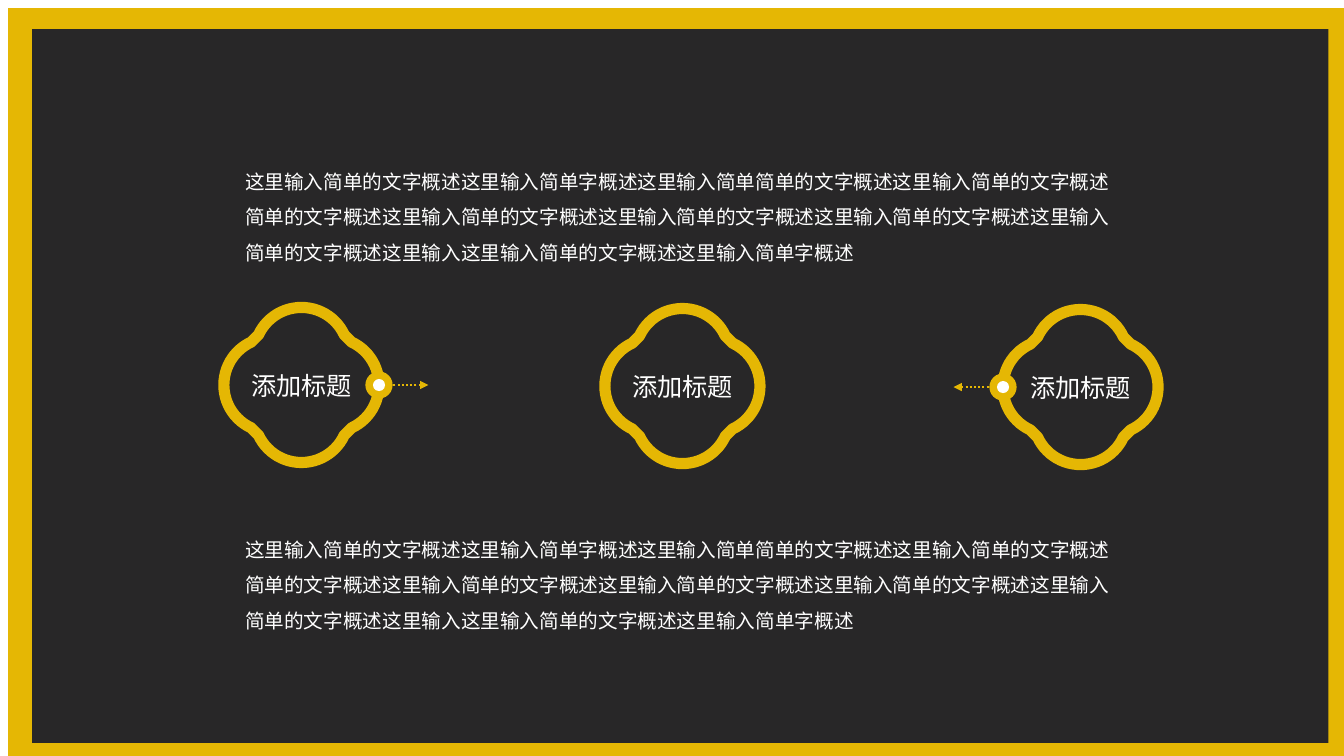
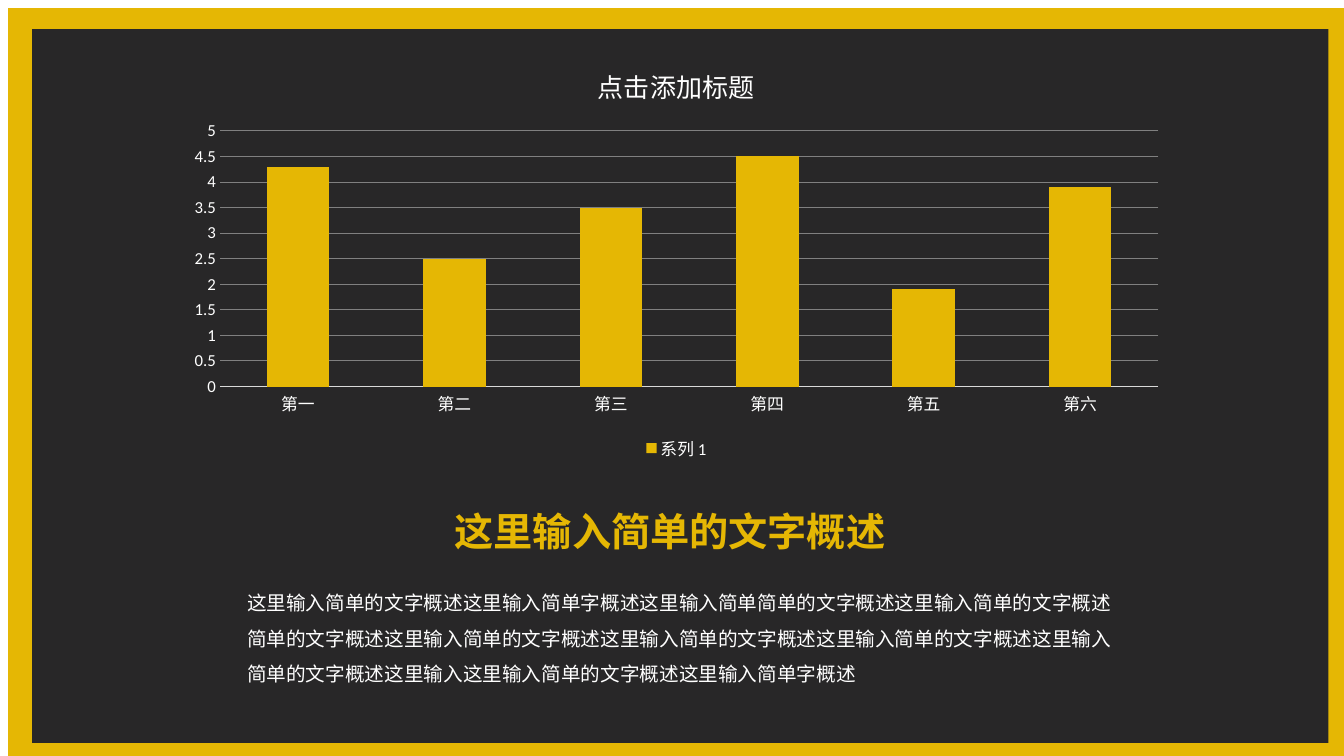
from dataclasses import dataclass
from math import cos, radians, sin
from typing import Any

from lxml import etree
from pptx import Presentation
from pptx.chart.data import CategoryChartData
from pptx.dml.color import RGBColor
from pptx.enum.chart import XL_CHART_TYPE, XL_LEGEND_POSITION, XL_TICK_MARK
from pptx.enum.dml import MSO_LINE
from pptx.enum.shapes import MSO_CONNECTOR, MSO_SHAPE
from pptx.enum.text import MSO_ANCHOR, MSO_AUTO_SIZE, PP_ALIGN
from pptx.oxml.ns import qn
from pptx.util import Inches, Pt

RECTANGLE, OVAL = MSO_SHAPE.RECTANGLE, MSO_SHAPE.OVAL
STRAIGHT, DOTTED = MSO_CONNECTOR.STRAIGHT, MSO_LINE.ROUND_DOT
LEFT, CENTER, TOP = PP_ALIGN.LEFT, PP_ALIGN.CENTER, MSO_ANCHOR.TOP
GROW = MSO_AUTO_SIZE.SHAPE_TO_FIT_TEXT
STACKED, LEGEND_BOTTOM = XL_CHART_TYPE.COLUMN_STACKED, XL_LEGEND_POSITION.BOTTOM
NO_TICK = XL_TICK_MARK.NONE

SLIDE_WIDTH, SLIDE_HEIGHT = Inches(13.333), Inches(7.5)
COLUMN, ROW = SLIDE_WIDTH / 100, SLIDE_HEIGHT / 100


@dataclass(frozen=True)
class Theme:
    gold: RGBColor = RGBColor.from_string("E5B704")
    charcoal: RGBColor = RGBColor.from_string("282728")
    white: RGBColor = RGBColor.from_string("FFFFFF")
    axis: RGBColor = RGBColor.from_string("D9D9D9")
    grid: RGBColor = RGBColor.from_string("808080")
    text_font: str = "Noto Sans CJK SC"
    chart_font: str = "Calibri"
    heading: float = 28
    chart_title: float = 18.6
    label: float = 18
    body: float = 14
    axis_label: float = 12


THEME = Theme()


@dataclass(frozen=True)
class Box:
    col: float
    row: float
    cols: float
    rows: float

    def emu(self) -> tuple[int, int, int, int]:
        return (round(self.col * COLUMN), round(self.row * ROW),
                round(self.cols * COLUMN), round(self.rows * ROW))


@dataclass(frozen=True)
class TextStyle:
    size: float
    color: RGBColor = THEME.white
    bold: bool = False
    align: Any = LEFT
    spacing: float = 1.0
    wrap: bool = True


@dataclass(frozen=True)
class Badge:
    col: float
    row: float
    arrow_side: int = 0


HEADING = TextStyle(THEME.heading, THEME.gold, bold=True, wrap=False)
LABEL = TextStyle(THEME.label, align=CENTER)
BODY = TextStyle(THEME.body, spacing=1.5)

FRAME = Box(0.6, 1.07, 100, 100)
PANEL = Box(2.4, 3.87, 96.45, 94.4)
BODY_COLS, BODY_ROWS = 66, 15.47
LABEL_COLS, LABEL_ROWS = 9.38, 5.33

LOBE_RADIUS, LOBE_OFFSET, LOBE_HALF_ANGLE = 3.52, 2.25, 65
DOT_COLS, DOT_CORE_COLS = 2.03, 0.9
ARROW_START, ARROW_TIP = 6.5, 9.45

CENTER_BADGE = Badge(50.78, 51.07)
BADGES = (Badge(22.43, 50.93, 1), Badge(80.4, 51.2, -1), CENTER_BADGE)

LABEL_TEXT = "添加标题"
HEADING_TEXT = "这里输入简单的文字概述"
SUMMARY_TEXT = (
    "这里输入简单的文字概述这里输入简单字概述这里输入简单简单的文字概述"
    "这里输入简单的文字概述简单的文字概述这里输入简单的文字概述"
    "这里输入简单的文字概述这里输入简单的文字概述这里输入简单的文字概述"
    "这里输入这里输入简单的文字概述这里输入简单字概述"
)
CHART_TITLE = "点击添加标题"
SERIES_NAME = "系列 1"
SERIES = {"第一": 4.3, "第二": 2.5, "第三": 3.5, "第四": 4.5, "第五": 1.9, "第六": 3.9}


def apply(target: Any, values: dict[str, Any]) -> None:
    for name, value in values.items():
        setattr(target, name, value)


def style_font(font: Any, face: str, size: float, color: RGBColor, bold: bool = False) -> None:
    apply(font, {"name": face, "size": Pt(size), "bold": bold})
    font.fill.solid()
    font.fill.fore_color.rgb = color


def style_line(line: Any, color: RGBColor, width: float) -> None:
    line.color.rgb = color
    line.width = Pt(width)


def write(shape: Any, box: Box, text: str, style: TextStyle) -> None:
    apply(shape, dict(zip(("left", "top", "width", "height"), box.emu())))
    frame = shape.text_frame
    frame.text = text
    apply(frame, {"word_wrap": style.wrap, "auto_size": GROW, "vertical_anchor": TOP})
    paragraph = frame.paragraphs[0]
    apply(paragraph, {"alignment": style.align, "line_spacing": style.spacing,
                      "space_before": Pt(0)})
    style_font(paragraph.runs[0].font, THEME.text_font, style.size, style.color, style.bold)
    for latin in shape.element.iter(qn("a:latin")):
        latin.addnext(latin.makeelement(qn("a:ea"), {"typeface": THEME.text_font}))
    for properties in shape.element.iter(qn("a:pPr")):
        properties.set("marL", "0")
        properties.set("indent", "0")
        etree.SubElement(properties, qn("a:buNone"))


def add_filled(slide: Any, preset: Any, box: Box, color: RGBColor) -> Any:
    shape = slide.shapes.add_shape(preset, *box.emu())
    shape.shadow.inherit = False
    shape.fill.solid()
    shape.fill.fore_color.rgb = color
    shape.line.fill.background()
    return shape


def move_frame_to_master(deck: Any, slide: Any) -> None:
    bands = ((FRAME, THEME.gold), (PANEL, THEME.charcoal))
    for depth, (box, color) in enumerate(bands, start=2):
        band = add_filled(slide, RECTANGLE, box, color)
        deck.slide_master.shapes.element.insert(depth, band.element)


def label_box(badge: Badge) -> Box:
    return Box(badge.col - LABEL_COLS / 2, badge.row - LABEL_ROWS / 2, LABEL_COLS, LABEL_ROWS)


def draw_outline(slide: Any, badge: Badge) -> None:
    points = []
    for facing in range(0, 360, 90):
        for turn in range(-LOBE_HALF_ANGLE, LOBE_HALF_ANGLE + 1, 5):
            lobe, arc = radians(facing), radians(facing + turn)
            across = LOBE_OFFSET * cos(lobe) + LOBE_RADIUS * cos(arc)
            down = LOBE_OFFSET * sin(lobe) + LOBE_RADIUS * sin(arc)
            points.append((round((badge.col + across) * COLUMN),
                           round(badge.row * ROW + down * COLUMN)))
    builder = slide.shapes.build_freeform(*points[0])
    builder.add_line_segments(points[1:], close=True)
    outline = builder.convert_to_shape()
    outline.shadow.inherit = False
    outline.fill.background()
    style_line(outline.line, THEME.gold, 8)


def draw_pointer(slide: Any, badge: Badge) -> None:
    dot_col = badge.col + badge.arrow_side * (LOBE_OFFSET + LOBE_RADIUS)
    for cols, color in ((DOT_COLS, THEME.gold), (DOT_CORE_COLS, THEME.white)):
        rows = cols * COLUMN / ROW
        add_filled(slide, OVAL, Box(dot_col - cols / 2, badge.row - rows / 2, cols, rows), color)
    tip, start = (round((badge.col + badge.arrow_side * reach) * COLUMN)
                  for reach in (ARROW_TIP, ARROW_START))
    level = round(badge.row * ROW)
    arrow = slide.shapes.add_connector(STRAIGHT, tip, level, start, level)
    style_line(arrow.line, THEME.gold, 1.5)
    arrow.line.dash_style = DOTTED
    properties = arrow.element.spPr
    etree.SubElement(properties.find(qn("a:ln")), qn("a:headEnd"), type="triangle")
    etree.SubElement(properties, qn("a:effectLst"))


def draw_badge(slide: Any, badge: Badge) -> None:
    draw_outline(slide, badge)
    if badge.arrow_side:
        draw_pointer(slide, badge)
    box = label_box(badge)
    label = slide.shapes.title if badge is CENTER_BADGE else slide.shapes.add_textbox(*box.emu())
    write(label, box, LABEL_TEXT, LABEL)


def draw_chart(slide: Any, box: Box) -> None:
    data = CategoryChartData()
    data.categories = list(SERIES)
    data.add_series(SERIES_NAME, list(SERIES.values()))
    chart = slide.shapes.add_chart(STACKED, *box.emu(), data).chart
    style_font(chart.font, THEME.chart_font, THEME.axis_label, THEME.white)

    apply(chart, {"has_title": True, "has_legend": True})
    title = chart.chart_title.text_frame
    title.text = CHART_TITLE
    style_font(title.paragraphs[0].runs[0].font, THEME.text_font, THEME.chart_title, THEME.white)
    apply(chart.legend, {"position": LEGEND_BOTTOM, "include_in_layout": False})
    style_font(chart.legend.font, THEME.chart_font, THEME.axis_label, THEME.white)

    for axis in (chart.category_axis, chart.value_axis):
        apply(axis, {"major_tick_mark": NO_TICK, "minor_tick_mark": NO_TICK})
        style_font(axis.tick_labels.font, THEME.chart_font, THEME.axis_label, THEME.white)
    style_line(chart.category_axis.format.line, THEME.axis, 0.75)
    apply(chart.value_axis, {"minimum_scale": 0, "maximum_scale": 5, "major_unit": 0.5,
                             "has_major_gridlines": True})
    chart.value_axis.format.line.fill.background()
    style_line(chart.value_axis.major_gridlines.format.line, THEME.grid, 0.75)

    plot = chart.plots[0]
    apply(plot, {"gap_width": 150, "overlap": 100, "vary_by_categories": False})
    columns = plot.series[0].format.fill
    columns.solid()
    columns.fore_color.rgb = THEME.gold


def build_badge_slide(deck: Any) -> None:
    slide = deck.slides.add_slide(deck.slide_layouts.get_by_name("Two Content"))
    move_frame_to_master(deck, slide)
    for index, row in ((1, 20.27), (2, 68.93)):
        write(slide.placeholders[index], Box(17.48, row, BODY_COLS, BODY_ROWS),
              SUMMARY_TEXT, BODY)
    for badge in BADGES:
        draw_badge(slide, badge)


def build_chart_slide(deck: Any) -> None:
    slide = deck.slides.add_slide(deck.slide_layouts.get_by_name("Title and Content"))
    write(slide.shapes.title, Box(33.08, 66.4, 33.9, 7.6), HEADING_TEXT, HEADING)
    write(slide.placeholders[1], Box(17.63, 76, BODY_COLS, BODY_ROWS), SUMMARY_TEXT, BODY)
    draw_chart(slide, Box(12.98, 6, 74.7, 55.47))


def main() -> None:
    deck = Presentation()
    apply(deck, {"slide_width": SLIDE_WIDTH, "slide_height": SLIDE_HEIGHT})
    build_badge_slide(deck)
    build_chart_slide(deck)
    deck.save("out.pptx")


main()
